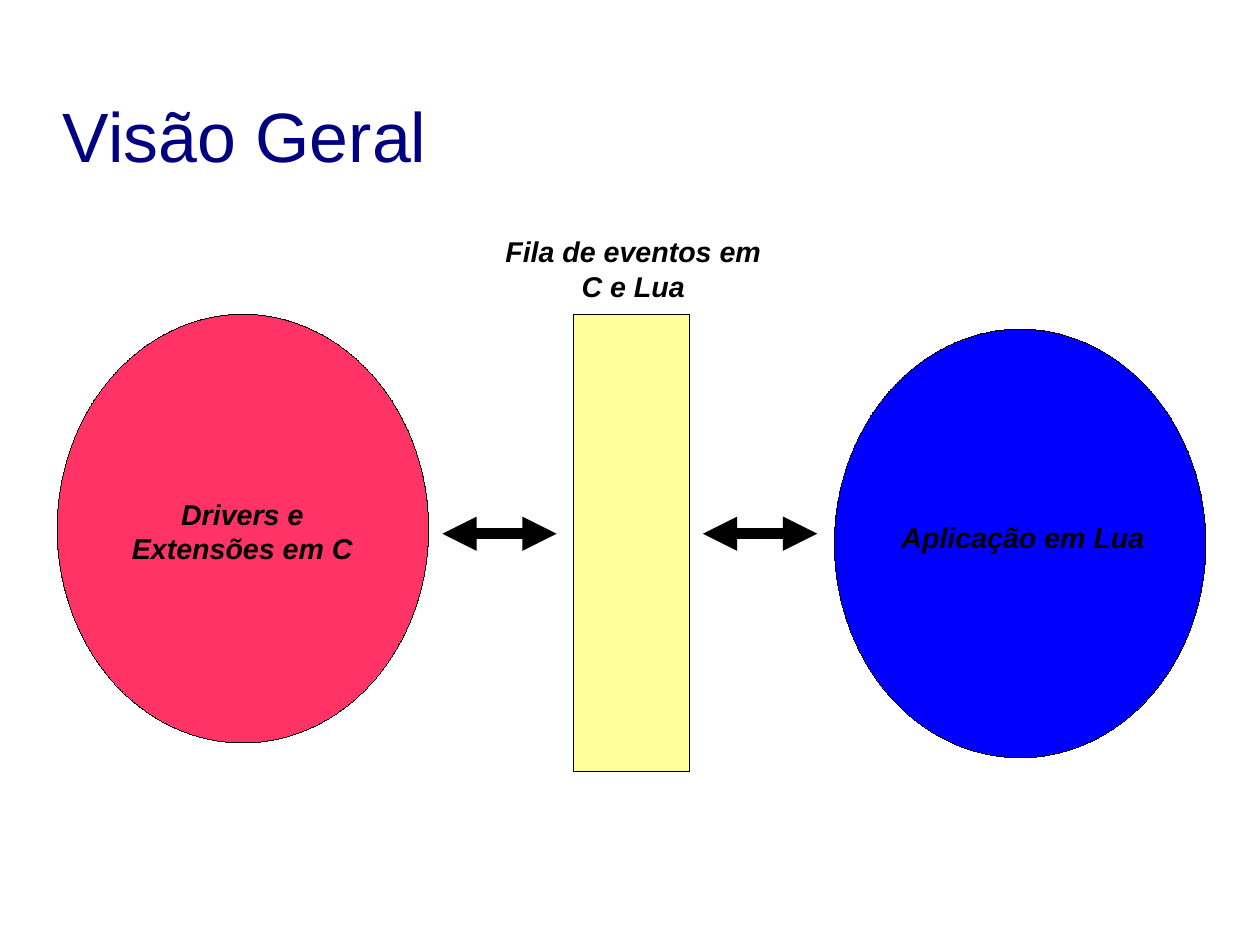
from lxml.etree import SubElement
from pptx import Presentation
from pptx.dml.color import RGBColor as RGB
from pptx.enum.shapes import MSO_CONNECTOR as LINE, MSO_SHAPE as SHAPE
from pptx.enum.text import MSO_ANCHOR as ANCHOR, PP_ALIGN as ALIGN
from pptx.oxml.ns import qn
from pptx.util import Inches, Pt

COLORS = {"black": "000000", "navy": "000080", "red": "FF3366",
          "yellow": "FFFF99", "blue": "0000FF"}


def tint(name):
    """Return the named colour."""
    return RGB.from_string(COLORS[name])


def write(slide, box, text, size=18, color="black", bold=True, italic=True,
          align=ALIGN.CENTER, anchor=ANCHOR.TOP, inset=(0.1, 0.05)):
    """Place formatted text in a box."""
    frame = slide.shapes.add_textbox(*map(Inches, box)).text_frame
    frame.word_wrap = True
    frame.vertical_anchor = anchor
    frame.margin_left = frame.margin_right = Inches(inset[0])
    frame.margin_top = frame.margin_bottom = Inches(inset[1])
    par = frame.paragraphs[0]
    par.alignment = align
    run = par.add_run()
    run.text = text
    font = run.font
    font.name, font.size = "Arial", Pt(size)
    font.bold, font.italic = bold, italic
    font.color.rgb = tint(color)


def block(slide, box, kind, color, text, shift, height=0.66):
    """Draw a filled shape and its label, shifted from the box corner."""
    shape = slide.shapes.add_shape(kind, *map(Inches, box))
    shape.shadow.inherit = False
    shape.fill.solid()
    shape.fill.fore_color.rgb = tint(color)
    shape.line.color.rgb = tint("black")
    shape.line.width = Pt(0.01)
    left, top = box[0] + shift[0], box[1] + shift[1]
    write(slide, (left, top, 2.5, height), text)


def arrow(slide, left, top, width):
    """Draw a thick level arrow with two heads."""
    ends = map(Inches, (left, top, left + width, top))
    link = slide.shapes.add_connector(LINE.STRAIGHT, *ends)
    link.line.color.rgb = tint("black")
    link.line.width = Pt(7.2)
    line = link._element.spPr.find(qn("a:ln"))
    for end in ("a:headEnd", "a:tailEnd"):
        SubElement(line, qn(end), type="triangle")
    SubElement(link._element.spPr, qn("a:effectLst"))


def diagram(slide, left, top):
    """Draw drivers, event queue and application, joined by arrows."""
    block(slide, (left, top, 3.25, 3.75), SHAPE.OVAL, "red",
          "Drivers e Extensões em C", (0.37, 1.55))
    block(slide, (left + 4.52, top, 1.01, 4), SHAPE.RECTANGLE, "yellow",
          "Fila de eventos em C e Lua", (-0.73, -0.75))
    block(slide, (left + 6.8, top + 0.13, 3.25, 3.75), SHAPE.OVAL, "blue",
          "Aplicação em Lua", (0.4, 1.62), height=0.38)
    for shift in (3.37, 5.65):
        arrow(slide, left + shift, top + 1.92, 1)


def main():
    """Build the slide and save it."""
    deck = Presentation()
    deck.slide_width = Inches(28 / 2.54)
    deck.slide_height = Inches(21 / 2.54)
    slide = deck.slides.add_slide(deck.slide_layouts[6])
    write(slide, (0.55, 0.49, 8.65, 1.38), "Visão Geral", size=44,
          color="navy", bold=False, italic=False, align=ALIGN.LEFT,
          anchor=ANCHOR.MIDDLE, inset=(0, 0))
    diagram(slide, 0.5, 2.75)
    deck.save("out.pptx")


if __name__ == "__main__":
    main()
